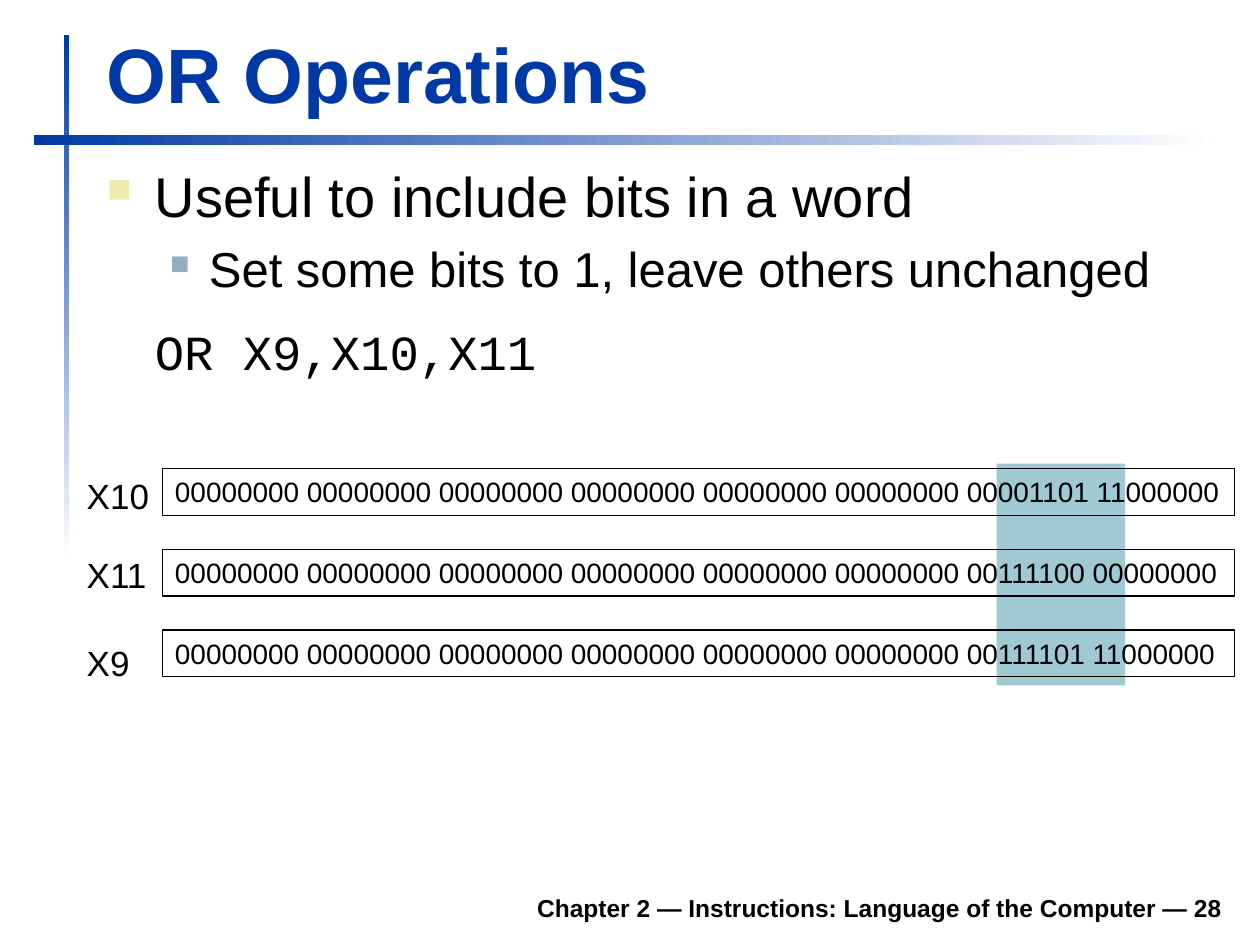
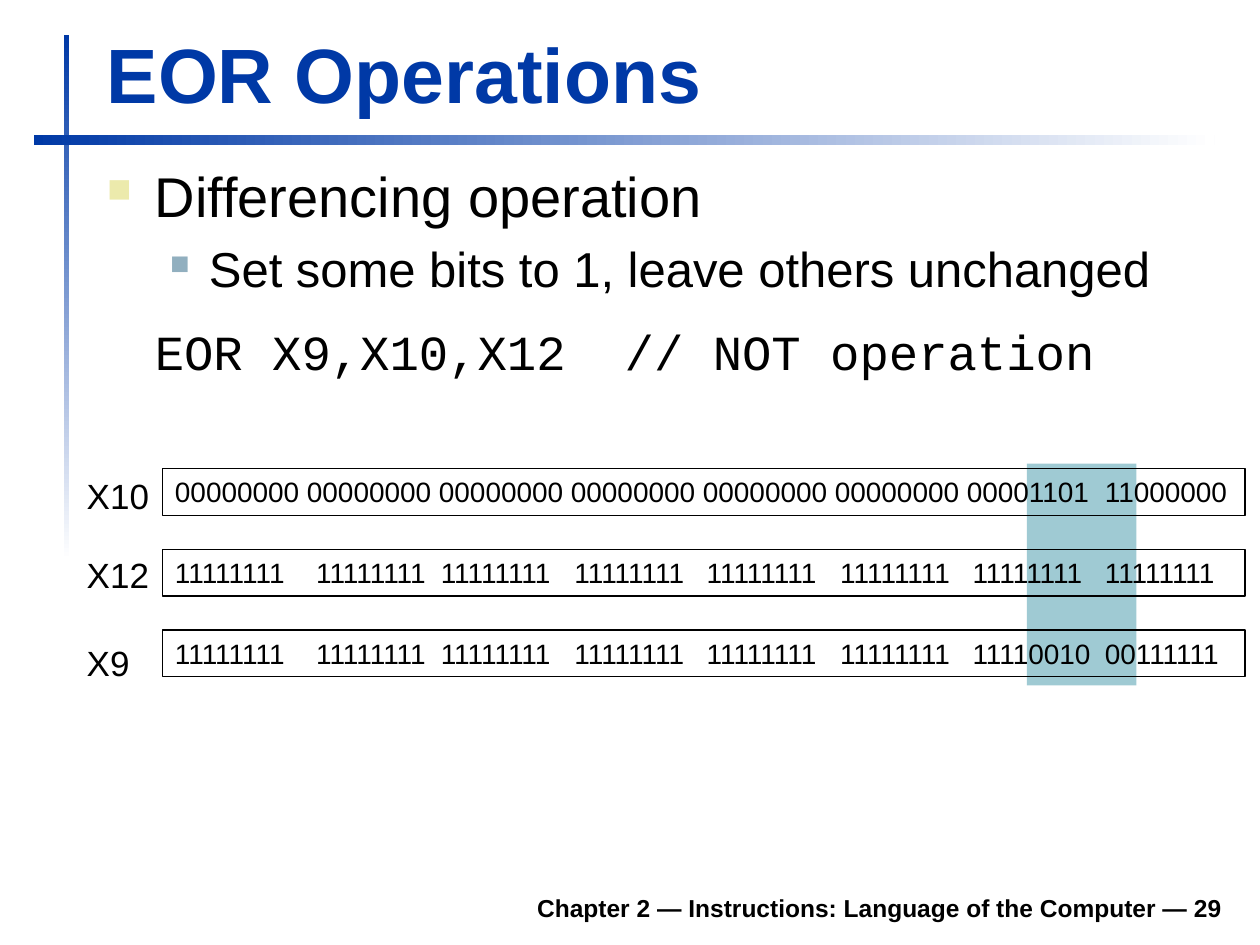
from dataclasses import dataclass

from lxml.etree import SubElement
from pptx import Presentation
from pptx.dml.color import RGBColor
from pptx.enum.shapes import MSO_SHAPE as Shape
from pptx.enum.text import MSO_ANCHOR as Anchor, PP_ALIGN as Align
from pptx.oxml.ns import qn
from pptx.util import Inches, Pt

COLORS = {
    "blue": "0039A6",
    "white": "FFFFFF",
    "black": "000000",
    "highlight": "9FCAD3",
    "bullet": "ECEAAC",
    "sub_bullet": "91AFBF",
}
BODY_FONT, CODE_FONT = "Arial", "Courier New"
CHAPTER = "Chapter 2 — Instructions: Language of the Computer"
ROW_LEFT, ROW_TOP, ROW_PITCH, ROW_HEIGHT = 1.29, 3.72, 0.64, 0.37
LABEL_TOPS = (3.72, 4.34, 5.04)
CODE_INDENT = 0.38


@dataclass(frozen=True)
class Level:
    size: int
    color: str
    bullet_percent: int
    margin: float
    hanging: float


@dataclass(frozen=True)
class Register:
    name: str
    bits: str
    tab_stops: tuple[float, ...] = ()


@dataclass(frozen=True)
class Operation:
    title: str
    number: int
    purpose: str
    detail: str
    code: str
    code_stops: tuple[float, ...]
    row_width: float
    highlight_left: float
    highlight_width: float
    registers: tuple[Register, ...]


LEVELS = (
    Level(32, "bullet", 60, 0.38, 0.38),
    Level(28, "sub_bullet", 55, 0.81, 0.31),
)
ZERO_BYTES = " ".join(["00000000"] * 6)
ONE_BYTES = "\t".join(["11111111"] * 6)
LAST_STOP = 7.38
ONES_STOPS = (1.12, 2.11, 3.17, 4.22, 5.28, 6.33, LAST_STOP)
DETAIL = "Set some bits to 1, leave others unchanged"

OPERATIONS = (
    Operation(
        "OR Operations", 28, "Useful to include bits in a word", DETAIL,
        "OR X9,X10,X11", (), 8.51, 7.91, 1.02,
        (
            Register("X10", f"{ZERO_BYTES} 00001101 11000000"),
            Register("X11", f"{ZERO_BYTES} 00111100 00000000"),
            Register("X9", f"{ZERO_BYTES} 00111101 11000000"),
        ),
    ),
    Operation(
        "EOR Operations", 29, "Differencing operation", DETAIL,
        "EOR X9,X10,X12\t// NOT operation", (4.11,), 8.59, 8.15, 0.87,
        (
            Register("X10", f"{ZERO_BYTES} 00001101\t11000000", (LAST_STOP,)),
            Register("X12", f"{ONE_BYTES}\t11111111\t11111111", ONES_STOPS),
            Register("X9", f"{ONE_BYTES}\t11110010\t00111111", ONES_STOPS),
        ),
    ),
)


def rgb(name: str) -> RGBColor:
    return RGBColor.from_string(COLORS[name])


def add_run(paragraph, text: str, size: int, color: str = "black",
            font: str = BODY_FONT, bold: bool = False) -> None:
    run = paragraph.add_run()
    run.text = text
    run.font.size, run.font.name, run.font.bold = Pt(size), font, bold
    run.font.color.rgb = rgb(color)


def add_text_frame(slide, left: float, top: float, width: float, height: float,
                   anchor: Anchor = Anchor.TOP):
    box = slide.shapes.add_textbox(Inches(left), Inches(top), Inches(width), Inches(height))
    box.text_frame.word_wrap = True
    box.text_frame.vertical_anchor = anchor
    return box.text_frame


def add_rect(slide, left: float, top: float, width: float, height: float):
    rect = slide.shapes.add_shape(
        Shape.RECTANGLE, Inches(left), Inches(top), Inches(width), Inches(height))
    rect.shadow.inherit = False
    rect.line.fill.background()
    return rect


def add_fading_bar(slide, left: float, top: float, width: float, height: float,
                   angle: int) -> None:
    fill = add_rect(slide, left, top, width, height).fill
    fill.gradient()
    fill.gradient_angle = angle
    for stop, color in zip(fill.gradient_stops, ("blue", "white")):
        stop.color.rgb = rgb(color)


def set_spacing(paragraph, before: int, after: int = 0) -> None:
    """Set the spacing in percent of the text size."""
    properties = paragraph._p.get_or_add_pPr()
    for tag, percent in (("a:spcBef", before), ("a:spcAft", after)):
        SubElement(SubElement(properties, qn(tag)), qn("a:spcPct"), val=str(percent * 1000))


def set_bullet(paragraph, level: Level) -> None:
    properties = paragraph._p.get_or_add_pPr()
    properties.set("marL", str(Inches(level.margin)))
    properties.set("indent", str(-Inches(level.hanging)))
    SubElement(SubElement(properties, qn("a:buClr")), qn("a:srgbClr"), val=COLORS[level.color])
    SubElement(properties, qn("a:buSzPct"), val=str(level.bullet_percent * 1000))
    SubElement(properties, qn("a:buChar"), char="■")


def set_tab_stops(paragraph, stops: tuple[float, ...]) -> None:
    if stops:
        tab_list = SubElement(paragraph._p.get_or_add_pPr(), qn("a:tabLst"))
        for stop in stops:
            SubElement(tab_list, qn("a:tab"), pos=str(Inches(stop)), algn="l")


def add_frame(slide, title: str, number: int) -> None:
    """Draw the crossing bars, the footer and the title."""
    add_fading_bar(slide, 0.51, 0.28, 0.04, 4.17, 270)
    add_fading_bar(slide, 0.27, 1.07, 9.37, 0.08, 0)
    footer = add_text_frame(slide, 1.85, 6.98, 7.95, 0.39, Anchor.BOTTOM).paragraphs[0]
    footer.alignment = Align.RIGHT
    add_run(footer, f"{CHAPTER} — {number}", 14, bold=True)
    heading = add_text_frame(slide, 0.75, 0.16, 9.03, 0.83, Anchor.BOTTOM).paragraphs[0]
    add_run(heading, title, 44, "blue", bold=True)


def add_body(slide, operation: Operation) -> None:
    body = add_text_frame(slide, 0.75, 1.23, 9.05, 2.27)
    for index, text in enumerate((operation.purpose, operation.detail)):
        point = body.add_paragraph() if index else body.paragraphs[0]
        set_spacing(point, 20)
        set_bullet(point, LEVELS[index])
        add_run(point, text, LEVELS[index].size)
    code = body.add_paragraph()
    set_spacing(code, 50, 30)
    set_tab_stops(code, (CODE_INDENT, *operation.code_stops))
    add_run(code, f"\t{operation.code}", 28, font=CODE_FONT)


def add_register(slide, register: Register, row: int, width: float) -> None:
    word = add_rect(slide, ROW_LEFT, ROW_TOP + row * ROW_PITCH, width, ROW_HEIGHT)
    word.fill.background()
    word.line.color.rgb = rgb("black")
    word.line.width = Pt(0.75)
    word.text_frame.vertical_anchor = Anchor.TOP
    bits = word.text_frame.paragraphs[0]
    bits.alignment = Align.LEFT
    set_tab_stops(bits, register.tab_stops)
    add_run(bits, register.bits, 16)
    label = add_text_frame(slide, 0.59, LABEL_TOPS[row], 0.7, 0.44).paragraphs[0]
    add_run(label, register.name, 20)


def add_operation(deck, operation: Operation) -> None:
    slide = deck.slides.add_slide(deck.slide_layouts[6])
    highlight = add_rect(slide, operation.highlight_left, 3.68, operation.highlight_width, 1.76)
    highlight.fill.solid()
    highlight.fill.fore_color.rgb = rgb("highlight")
    add_frame(slide, operation.title, operation.number)
    add_body(slide, operation)
    for row, register in enumerate(operation.registers):
        add_register(slide, register, row, operation.row_width)


def main() -> None:
    deck = Presentation()
    deck.slide_width, deck.slide_height = Inches(10), Inches(7.5)
    for operation in OPERATIONS:
        add_operation(deck, operation)
    deck.save("out.pptx")


if __name__ == "__main__":
    main()
